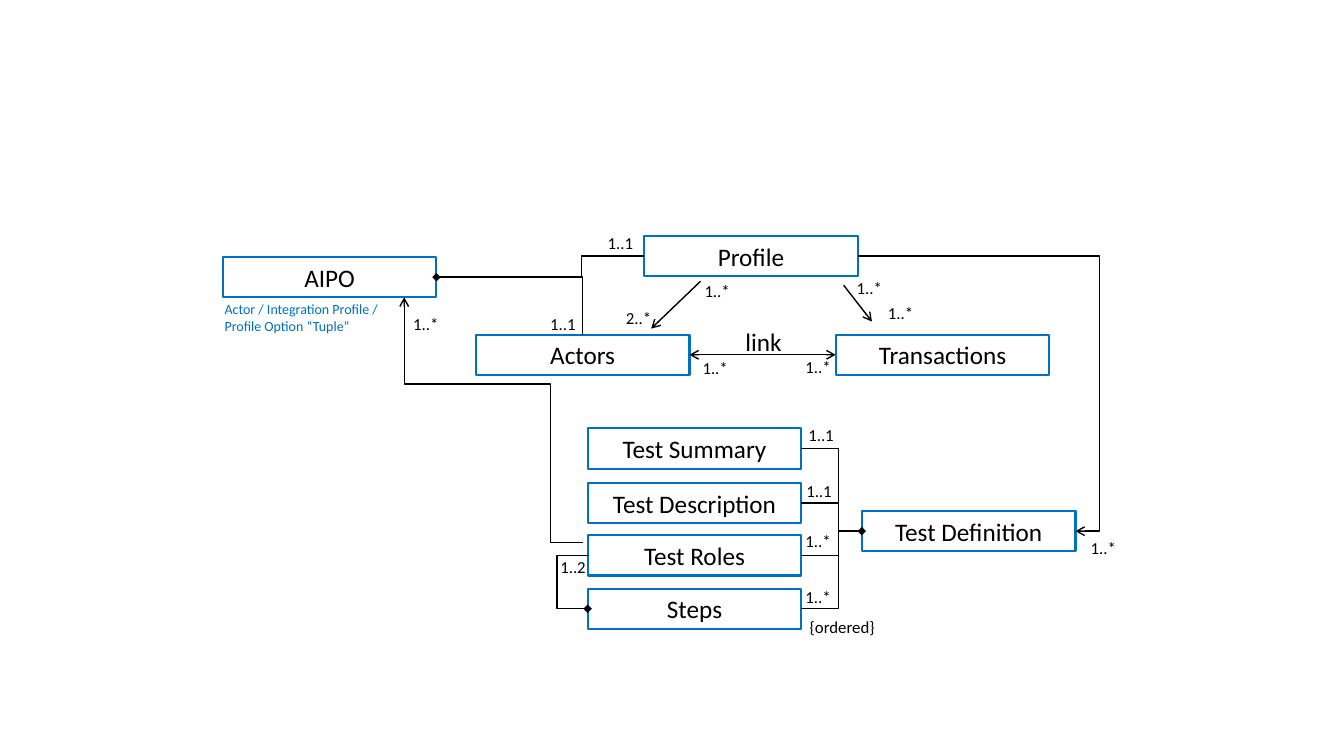
import pptx
import pptx.util
import pptx.dml.color
import pptx.enum.shapes
import pptx.enum.text
import pptx.oxml.ns
import lxml.etree

COLORS = {"ink": "000000", "blue": "0070C0"}
CELL = 0.1  # inches per grid column and row
COLS, ROWS = 133.33, 75
BOX_W, BOX_H = 21.2, 4
TOP, LEFT, BOTTOM, RIGHT = range(4)
ALIGN = pptx.enum.text.PP_ALIGN
KIND = pptx.enum.shapes.MSO_CONNECTOR

# Left column and top row of each class box
BOXES = {
    "Profile": (63.9, 23.4), "Actors": (47.2, 33.2),
    "Transactions": (82.9, 33.2), "AIPO": (22.1, 25.5),
    "Test Definition": (85.5, 50.7), "Test Summary": (58.3, 42.5),
    "Test Description": (58.3, 47.9), "Test Roles": (58.3, 53.1),
    "Steps": (58.3, 58.4),
}
PARTS = ["Test Summary", "Test Description", "Test Roles", "Steps"]

# Left column and top row of each multiplicity label
MULTIPLICITIES = {
    "1..*": [(86.8, 29.5), (68.4, 35), (78.6, 34.9), (106.9, 52.9), (78.6, 52.2),
             (78.6, 57.7), (83.7, 27.1), (68.6, 27.4), (39.7, 30.6)],
    "1..1": [(78.7, 47.2), (78.9, 41.6), (59, 22.6), (53.3, 30.6)],
    "2..*": [(60.8, 30)],
    "1..2": [(54.3, 54.7)],
}


def grid(n):
    return pptx.util.Inches(n * CELL)


def rgb(name):
    return pptx.dml.color.RGBColor.from_string(COLORS[name])


def port(name, side):
    """Middle of one side of a class box, in grid units."""
    x, y = BOXES[name]
    dx, dy = {TOP: (0.5, 0), LEFT: (0, 0.5), BOTTOM: (0.5, 1), RIGHT: (1, 0.5)}[side]
    return x + dx * BOX_W, y + dy * BOX_H


def write(s, text, size, color="ink", align=ALIGN.CENTER):
    tf = s.text_frame
    frame = {"word_wrap": True, "auto_size": pptx.enum.text.MSO_AUTO_SIZE.SHAPE_TO_FIT_TEXT}
    for key, value in frame.items():
        setattr(tf, key, value)
    p = tf.paragraphs[0]
    p.alignment = align
    r = p.add_run()
    r.text = text
    for key, value in {"name": "Calibri", "size": pptx.util.Pt(size)}.items():
        setattr(r.font, key, value)
    r.font.color.rgb = rgb(color)


def class_box(shapes, name):
    x, y = BOXES[name]
    s = shapes.add_shape(pptx.enum.shapes.MSO_SHAPE.RECTANGLE,
                         grid(x), grid(y), grid(BOX_W), grid(BOX_H))
    s.shadow.inherit = False
    s.fill.background()
    s.line.color.rgb = rgb("blue")
    s.line.width = pptx.util.Pt(1.5)
    write(s, name, 18)
    return s


def label(shapes, text, x, y, w=5.1, h=3, size=12, **style):
    s = shapes.add_textbox(grid(x), grid(y), grid(w), grid(h))
    write(s, text, size, **style)


def line(shapes, start, end, head=None, tail=None, kind=KIND.STRAIGHT):
    s = shapes.add_connector(kind, *map(grid, start + end))
    s.line.color.rgb = rgb("ink")
    s.line.width = pptx.util.Pt(1)
    ln = s.line._get_or_add_ln()
    for tag, marker in (("a:headEnd", head), ("a:tailEnd", tail)):
        if marker:
            lxml.etree.SubElement(ln, pptx.oxml.ns.qn(tag), type=marker)
    lxml.etree.SubElement(s._element.spPr, pptx.oxml.ns.qn("a:effectLst"))
    return s


def bend(s, share):
    """Place the middle segment at a share of the connector's length."""
    av = s._element.spPr.find(".//" + pptx.oxml.ns.qn("a:avLst"))
    lxml.etree.SubElement(av, pptx.oxml.ns.qn("a:gd"), name="adj1",
                          fmla=f"val {round(share * 100000)}")


def elbow(shapes, start, end, via, tail=None):
    """Run sideways to column via, then up or down, then sideways."""
    s = line(shapes, start, end, tail=tail, kind=KIND.ELBOW)
    bend(s, (via - start[0]) / (end[0] - start[0]))


def rising_elbow(shapes, start, end, via=None, tail=None):
    """Run up first, then left; with a row via, turn up again there."""
    (x1, y1), (x2, y2) = start, end
    cx, cy, half_w, half_h = (x1 + x2) / 2, (y1 + y2) / 2, (y1 - y2) / 2, (x1 - x2) / 2
    s = line(shapes, (cx - half_w, cy + half_h), (cx + half_w, cy - half_h),
             tail=tail, kind=KIND.ELBOW)
    s._element.spPr.find(pptx.oxml.ns.qn("a:xfrm")).set("rot", str(270 * 60000))
    if via is None:
        s._element.spPr.find(pptx.oxml.ns.qn("a:prstGeom")).set("prst", "bentConnector2")
    else:
        bend(s, (via - y1) / (y2 - y1))


def main():
    prs = pptx.Presentation()
    prs.slide_width, prs.slide_height = grid(COLS), grid(ROWS)
    shapes = prs.slides.add_slide(prs.slide_layouts[6]).shapes

    # Class boxes
    boxes = {name: class_box(shapes, name) for name in BOXES}

    # Straight associations
    link = line(shapes, port("Transactions", LEFT), port("Actors", RIGHT), "arrow", "arrow")
    link.begin_connect(boxes["Transactions"], LEFT)
    link.end_connect(boxes["Actors"], RIGHT)
    line(shapes, (64.6, 32.6), (69.5, 27.9), head="arrow")
    line(shapes, (86.5, 31.9), (83.7, 28.3), head="arrow")

    # Parts of the test definition
    definition = port("Test Definition", LEFT)
    for name in PARTS:
        tail = "diamond" if name == PARTS[0] else None
        elbow(shapes, port(name, RIGHT), definition, 83.2, tail)
    elbow(shapes, port("Profile", RIGHT), port("Test Definition", RIGHT), 109.1, "arrow")
    elbow(shapes, (58.4, 55.1), port("Steps", LEFT), 55.2, "diamond")

    # Parts of AIPO
    aipo = port("AIPO", RIGHT)
    elbow(shapes, port("Profile", LEFT), aipo, 57.7, "diamond")
    rising_elbow(shapes, port("Actors", TOP), aipo)
    rising_elbow(shapes, (54.6, 53.8), (40.1, 29.5), 38.1, "arrow")
    line(shapes, (54.6, 53.8), (57.8, 53.8))

    # Labels
    for text, places in MULTIPLICITIES.items():
        for x, y in places:
            label(shapes, text, x, y)
    label(shapes, "link", 68.4, 31.9, 14.7, 4, 18)
    label(shapes, "{ordered}", 78.9, 60.7, 9.3)
    label(shapes, "Actor / Integration Profile / Profile Option “Tuple”",
          21.3, 29.3, 17.6, 4.4, 10, color="blue", align=ALIGN.LEFT)

    prs.save("out.pptx")


if __name__ == "__main__":
    main()
